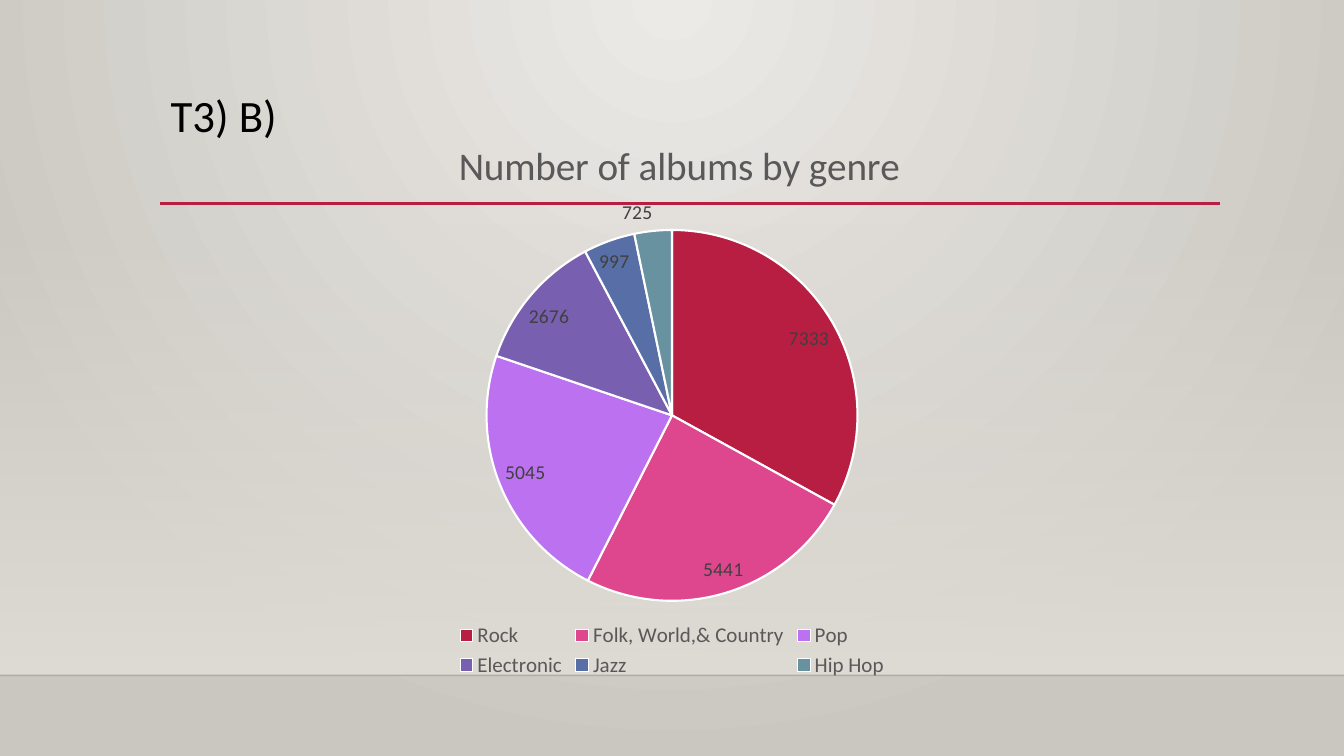
from dataclasses import dataclass

from lxml import etree
from pptx import Presentation
from pptx.chart.data import CategoryChartData
from pptx.dml.color import RGBColor
from pptx.enum.chart import XL_CHART_TYPE, XL_LABEL_POSITION, XL_LEGEND_POSITION
from pptx.enum.shapes import MSO_CONNECTOR, MSO_SHAPE
from pptx.enum.text import MSO_ANCHOR, MSO_AUTO_SIZE, PP_ALIGN
from pptx.oxml import parse_xml
from pptx.oxml.ns import nsdecls, qn
from pptx.util import Inches, Pt

PIE = XL_CHART_TYPE.PIE
BEST_FIT = XL_LABEL_POSITION.BEST_FIT
BOTTOM = XL_LEGEND_POSITION.BOTTOM
STRAIGHT = MSO_CONNECTOR.STRAIGHT
RECT = MSO_SHAPE.RECTANGLE
TOP = MSO_ANCHOR.TOP
NO_FIT = MSO_AUTO_SIZE.NONE
LEFT, CENTER = PP_ALIGN.LEFT, PP_ALIGN.CENTER
COLS, ROWS = 160, 90


@dataclass(frozen=True)
class Theme:
    font: str = "Calibri"
    ink: str = "000000"
    label: str = "404040"
    gray: str = "595959"
    white: str = "FFFFFF"
    red: str = "B71E42"
    edge: str = "000001"
    floor: str = "DFDBD5"
    back: tuple = ("ECEAE7", "CAC7C1")
    slices: tuple = ("B71E42", "DE478E", "BC72F0", "795FAF", "586EA6", "6892A0")
    head: int = 32
    title: int = 28
    legend: int = 15
    value: int = 14


def style(font, size, color, face):
    font.size, font.name, font.bold = Pt(size), face, False
    font.color.rgb = RGBColor.from_string(color)


def write(frame, text, *, size, color, face, align=LEFT, spacing=None):
    para = frame.paragraphs[0]
    para.alignment = align
    para.line_spacing = spacing
    run = para.add_run()
    run.text = text
    style(run.font, size, color, face)


def fade(parent, percent):
    """Set the opacity of the first colour under an element."""
    color = next(parent.iter(qn("a:srgbClr")))
    etree.SubElement(color, qn("a:alpha")).set("val", str(percent * 1000))


def place(node, **shares):
    """Pin a chart part at shares of the chart's size."""
    old = node.find(qn("c:layout"))
    if old is not None:
        node.remove(old)
    target = '<c:layoutTarget val="inner"/>' if "w" in shares else ""
    modes = "".join(f'<c:{key}Mode val="edge"/>' for key in "xy")
    sizes = "".join(f'<c:{key} val="{val}"/>' for key, val in shares.items())
    layout = parse_xml(f'<c:layout {nsdecls("c")}><c:manualLayout>'
                       f'{target}{modes}{sizes}</c:manualLayout></c:layout>')
    text = node.find(qn("c:tx"))
    if text is None:
        node.insert(0, layout)
    else:
        text.addnext(layout)


class Deck:
    def __init__(self, theme):
        self.theme = theme
        self.prs = Presentation()
        self.prs.slide_width, self.prs.slide_height = Inches(13.33), Inches(7.5)
        self.slide = self.prs.slides.add_slide(self.prs.slide_layouts[5])

    def grid(self, col, row):
        return (round(self.prs.slide_width * col / COLS),
                round(self.prs.slide_height * row / ROWS))

    def box(self, col, row, cols, rows):
        return *self.grid(col, row), *self.grid(cols, rows)

    def blend(self, fill, colors):
        fill.gradient()
        for stop, color in zip(fill.gradient_stops, colors):
            stop.color.rgb = RGBColor.from_string(color)

    def backdrop(self):
        self.blend(self.slide.background.fill, self.theme.back)
        grad = next(self.slide.element.iter(qn("a:gradFill")))
        ring = parse_xml(f'<a:path {nsdecls("a")} path="circle"><a:fillToRect '
                         'l="43000" r="43000" b="100000"/></a:path>')
        grad.replace(grad.find(qn("a:lin")), ring)

    def floor(self, *cells):
        shape = self.slide.shapes.add_shape(RECT, *self.box(*cells))
        shape.shadow.inherit = False
        shape.line.fill.background()
        self.blend(shape.fill, (self.theme.floor,) * 2)
        shape.fill.gradient_angle = 270
        fade(shape.element.spPr, 0)

    def rule(self, start, end, row, color, width, opacity=100):
        line = self.slide.shapes.add_connector(
            STRAIGHT, *self.grid(start, row), *self.grid(end, row))
        line.line.width = Pt(width)
        line.line.color.rgb = RGBColor.from_string(color)
        props = line.element.spPr
        if opacity < 100:
            fade(props, opacity)
        etree.SubElement(props, qn("a:effectLst"))

    def title(self, text, *cells):
        shape = self.slide.shapes.title
        shape.left, shape.top, shape.width, shape.height = self.box(*cells)
        frame = shape.text_frame
        frame.word_wrap, frame.auto_size = True, NO_FIT
        frame.vertical_anchor = TOP
        write(frame, text, size=self.theme.head, color=self.theme.ink,
              face=self.theme.font, spacing=0.9)
        self.slide.shapes[-1].element.addnext(shape.element)

    def pie(self, text, values, *cells):
        look = self.theme
        data = CategoryChartData()
        data.categories = list(values)
        data.add_series("Series 1", list(values.values()))
        chart = self.slide.shapes.add_chart(PIE, *self.box(*cells), data).chart
        style(chart.font, 10, look.ink, look.font)

        # Heading
        chart.has_title = True
        write(chart.chart_title.text_frame, text, size=look.title,
              color=look.gray, face=look.font, align=CENTER)
        chart.chart_title.include_in_layout = False
        place(next(chart.element.iter(qn("c:title"))), x=0.31, y=0.04)

        # Legend
        chart.has_legend = True
        chart.legend.position = BOTTOM
        chart.legend.include_in_layout = False
        style(chart.legend.font, look.legend, look.gray, look.font)

        # Slices and their values
        plot = chart.plots[0]
        plot.vary_by_categories = True
        place(next(chart.element.iter(qn("c:plotArea"))),
              x=0.34, y=0.21, w=0.32, h=0.65)
        for index, color in enumerate(look.slices):
            part = plot.series[0].points[index].format
            part.fill.solid()
            part.fill.fore_color.rgb = RGBColor.from_string(color)
            part.line.color.rgb = RGBColor.from_string(look.white)
            part.line.width = Pt(1.5)
        plot.has_data_labels = True
        labels = plot.data_labels
        labels.show_value = True
        labels.show_percentage = False
        labels.position = BEST_FIT
        style(labels.font, look.value, look.label, look.font)


def main():
    theme = Theme()
    deck = Deck(theme)

    # Backdrop and rules
    deck.backdrop()
    deck.floor(0, 26.5, COLS, 53.9)
    deck.rule(0, COLS, 80.4, theme.edge, 1, opacity=20)
    deck.rule(19.1, 145.2, 24.25, theme.red, 2.5)

    # Title and chart
    deck.title("T3) B)", 19.1, 10.55, 126, 13.8)
    albums = {"Rock": 7333, "Folk, World,& Country": 5441, "Pop": 5045,
              "Electronic": 2676, "Jazz": 997, "Hip Hop": 725}
    deck.pie("Number of albums by genre", albums, 11, 13, 138, 68.15)

    deck.prs.save("out.pptx")


if __name__ == "__main__":
    main()
